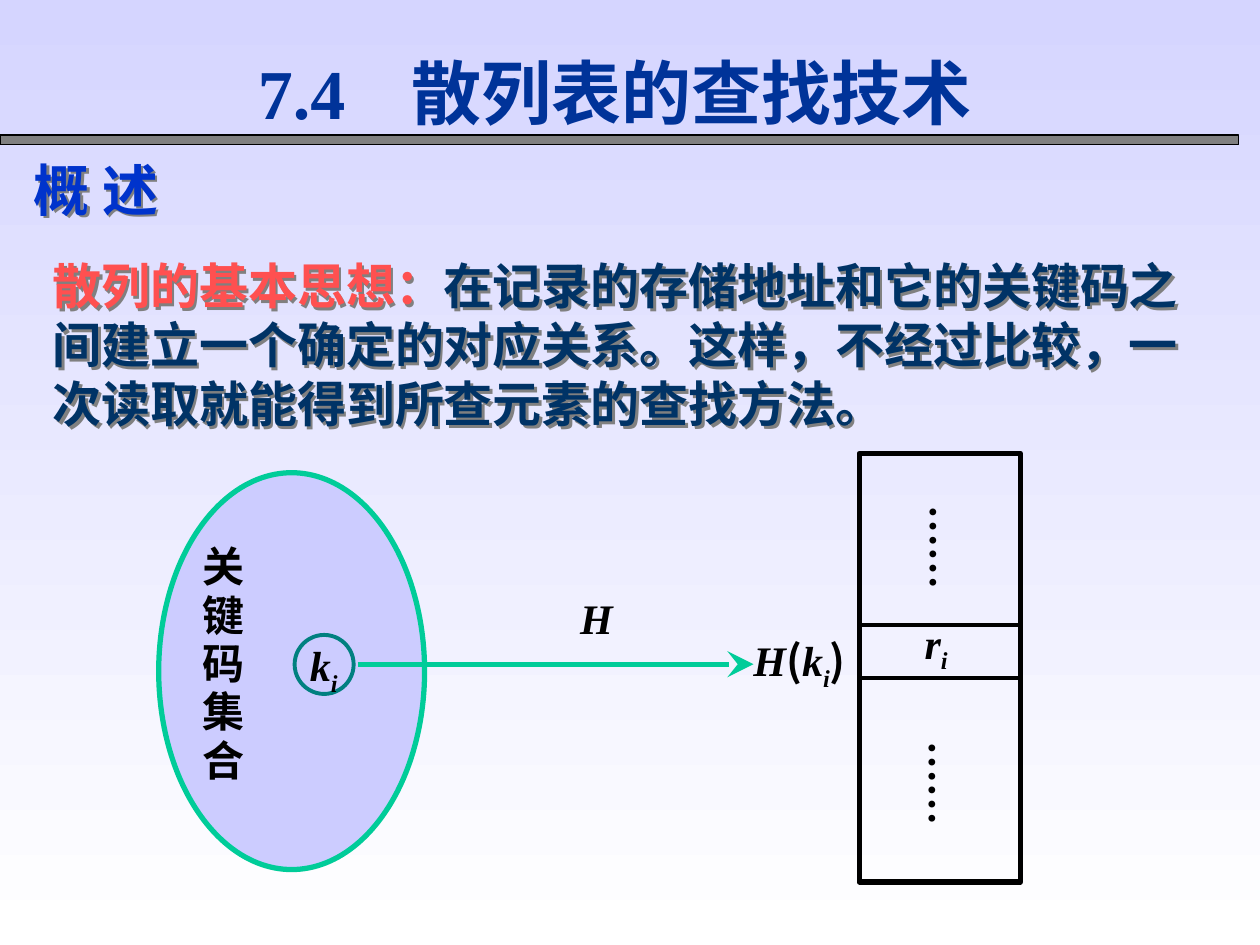
from lxml import etree
from pptx import Presentation
from pptx.dml.color import RGBColor
from pptx.enum.shapes import MSO_CONNECTOR, MSO_SHAPE
from pptx.enum.text import MSO_ANCHOR, PP_ALIGN
from pptx.oxml import parse_xml
from pptx.oxml.ns import qn
from pptx.util import Cm, Pt

RECTANGLE, OVAL = MSO_SHAPE.RECTANGLE, MSO_SHAPE.OVAL
STRAIGHT = MSO_CONNECTOR.STRAIGHT
TOP, MIDDLE = MSO_ANCHOR.TOP, MSO_ANCHOR.MIDDLE
LEFT, CENTER = PP_ALIGN.LEFT, PP_ALIGN.CENTER
SERIF, SANS = "Times New Roman", "Noto Sans CJK SC"
BLACK, GREEN = "000000", "00CC99"
SHADOW = (
    '<a:effectLst xmlns:a="http://schemas.openxmlformats.org/drawingml/2006/main">'
    '<a:outerShdw dist="25400" dir="2700000"><a:srgbClr val="808080"/></a:outerShdw>'
    '</a:effectLst>'
)


def color(value):
    return RGBColor.from_string(value)


def add_text(place, spans, size=24, insets=(0.05, 0, 0.05, 0), spacing=0.96,
             align=LEFT, anchor=TOP, vertical=False, shadow=False, tab=None):
    """Each span is (text, colour, font, italic, subscript)."""
    box = page.shapes.add_textbox(*map(Cm, place))
    if shadow:
        box._element.spPr.append(parse_xml(SHADOW))
    frame = box.text_frame
    frame.word_wrap = True
    frame.vertical_anchor = anchor
    (frame.margin_left, frame.margin_top,
     frame.margin_right, frame.margin_bottom) = map(Cm, insets)
    if vertical:
        frame._txBody.bodyPr.set("vert", "eaVert")
    para = frame.paragraphs[0]
    para.alignment = align
    para.line_spacing = spacing
    if tab:
        tabs = etree.SubElement(para._p.get_or_add_pPr(), qn("a:tabLst"))
        etree.SubElement(tabs, qn("a:tab"), pos=str(Cm(tab)), algn="l")
    for text, ink, font, italic, subscript in spans:
        span = para.add_run()
        span.text = text
        span.font.size = Pt(size)
        span.font.bold = True
        span.font.italic = italic
        span.font.color.rgb = color(ink)
        span.font.name = font
        properties = span.font._element
        if subscript:
            properties.set("baseline", "-25000")
        etree.SubElement(properties, qn("a:ea")).set("typeface", SANS)


deck = Presentation()
deck.slide_width, deck.slide_height = Cm(25.4), Cm(19.05)
page = deck.slides.add_slide(deck.slide_layouts[6])

# Background gradient, top to bottom
background = page.background.fill
background.gradient()
background.gradient_angle = 270
for stop, position, shade in zip(background.gradient_stops, (0, 1), ("D5D5FF", "FFFFFF")):
    stop.position = position
    stop.color.rgb = color(shade)

# Title bar, key set, storage column and key circle
shapes = [
    (RECTANGLE, (0, 2.72, 24.97, 0.2), "808080", BLACK, 0.75),
    (OVAL, (3.2, 9.53, 5.36, 8), "CCCCFF", GREEN, 3),
    (RECTANGLE, (17.32, 9.14, 3.25, 8.64), None, BLACK, 3),
    (OVAL, (5.94, 12.8, 1.19, 1.19), None, "008080", 2.25),
]
for kind, place, fill, outline, weight in shapes:
    shape = page.shapes.add_shape(kind, *map(Cm, place))
    shape.shadow.inherit = False
    if fill:
        shape.fill.solid()
        shape.fill.fore_color.rgb = color(fill)
    else:
        shape.fill.background()
    shape.line.color.rgb = color(outline)
    shape.line.width = Pt(weight)

# Row dividers of the storage column, then the hash arrow
lines = [
    (17.32, 20.57, 12.6, BLACK, 2.25, False),
    (17.32, 20.57, 13.67, BLACK, 2.25, False),
    (7.21, 15.19, 13.39, GREEN, 3, True),
]
for start, end, height, ink, weight, arrow in lines:
    line = page.shapes.add_connector(STRAIGHT, Cm(start), Cm(height), Cm(end), Cm(height))
    line.line.color.rgb = color(ink)
    line.line.width = Pt(weight)
    if arrow:
        etree.SubElement(line.line._get_or_add_ln(), qn("a:tailEnd"),
                         type="stealth", w="lg", len="lg")
    etree.SubElement(line._element.spPr, qn("a:effectLst"))

# Title, heading and definition
wide = (0.25, 0.13, 0.25, 0.13)
add_text((4.95, 0.89, 15.27, 1.9), [("7.4\t散列表的查找技术", "003399", SERIF, False, False)],
         40, wide, 1, anchor=MIDDLE, tab=3.1)
add_text((0.43, 3, 17.78, 1.63), [("概 述", "0033CC", SANS, False, False)],
         32, wide, 1, shadow=True)
add_text((0.81, 5.03, 23.7, 3.81), [
    ("散列的基本思想：", "FF5050", SERIF, False, False),
    ("在记录的存储地址和它的关键码之间建立一个确定的对应关系。"
     "这样，不经过比较，一次读取就能得到所查元素的查找方法。", "003366", SERIF, False, False),
], 28, wide, 1, shadow=True)

# Diagram labels
index = ("i", BLACK, SERIF, True, True)
key = ("k", BLACK, SERIF, True, False)
record = ("r", BLACK, SERIF, True, False)
hash_name = ("H", BLACK, SERIF, True, False)
opening, closing = [(mark, BLACK, SANS, False, False) for mark in "()"]
add_text((4.04, 10.97, 0.86, 4.88), [("关键码集合", BLACK, SERIF, False, False)])
add_text((6.2, 12.9, 1.02, 0.91), [key, index])
add_text((18.59, 12.44, 1.02, 0.91), [record, index])
add_text((15.14, 12.8, 2.06, 0.74), [hash_name, opening, key, index, closing])
add_text((9.32, 12.01, 5.41, 0.94), [hash_name], align=CENTER)

# Omitted rows above and below the record
for left, top in ((18.69, 10.15), (18.67, 14.9)):
    add_text((left, top, 0.94, 2.29), [("……", BLACK, SERIF, False, False)],
             insets=(0, 0.05, 0.1, 0.05), vertical=True)

deck.save("out.pptx")
